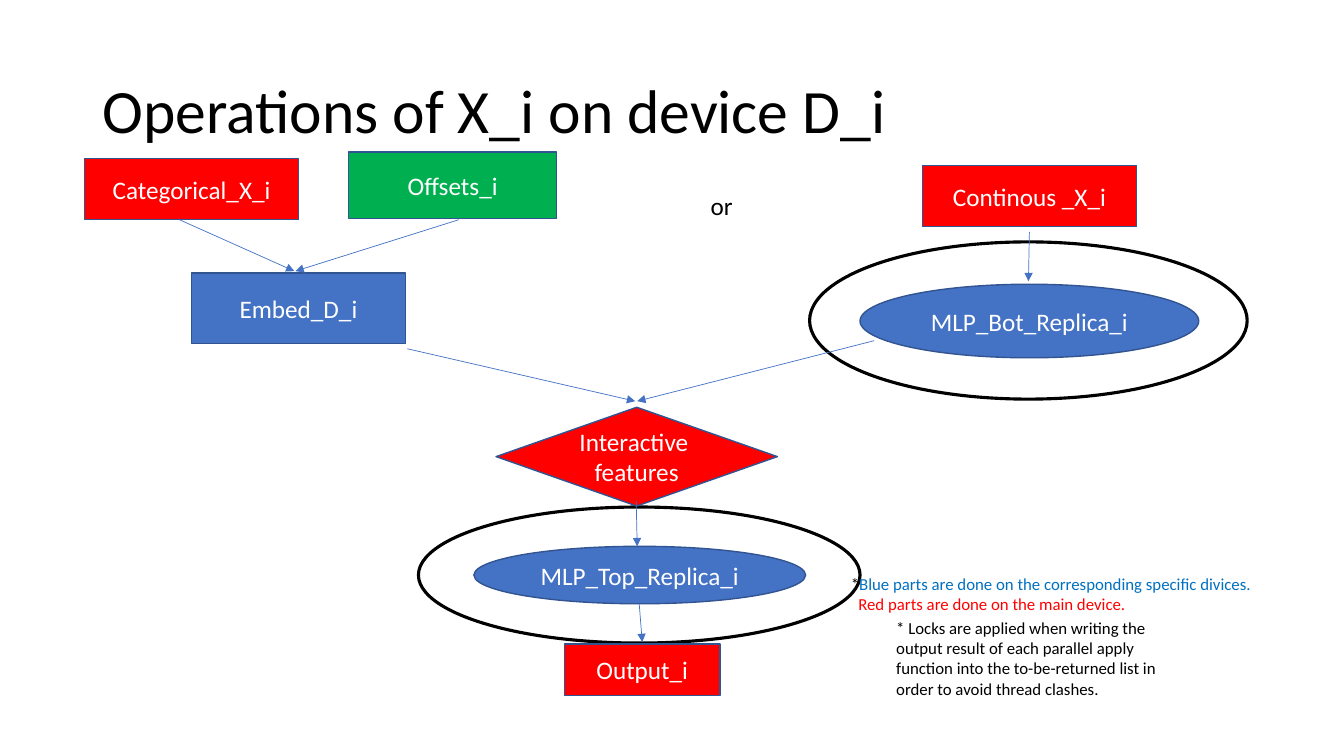
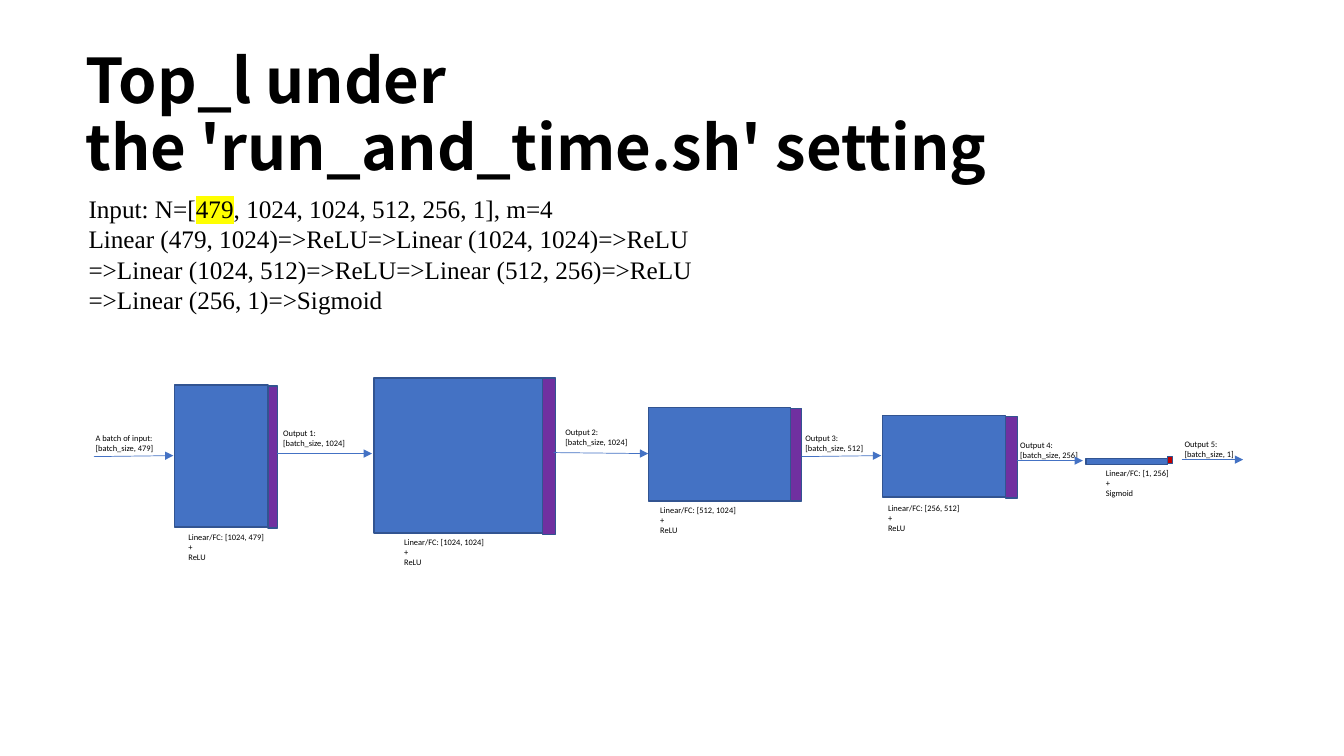
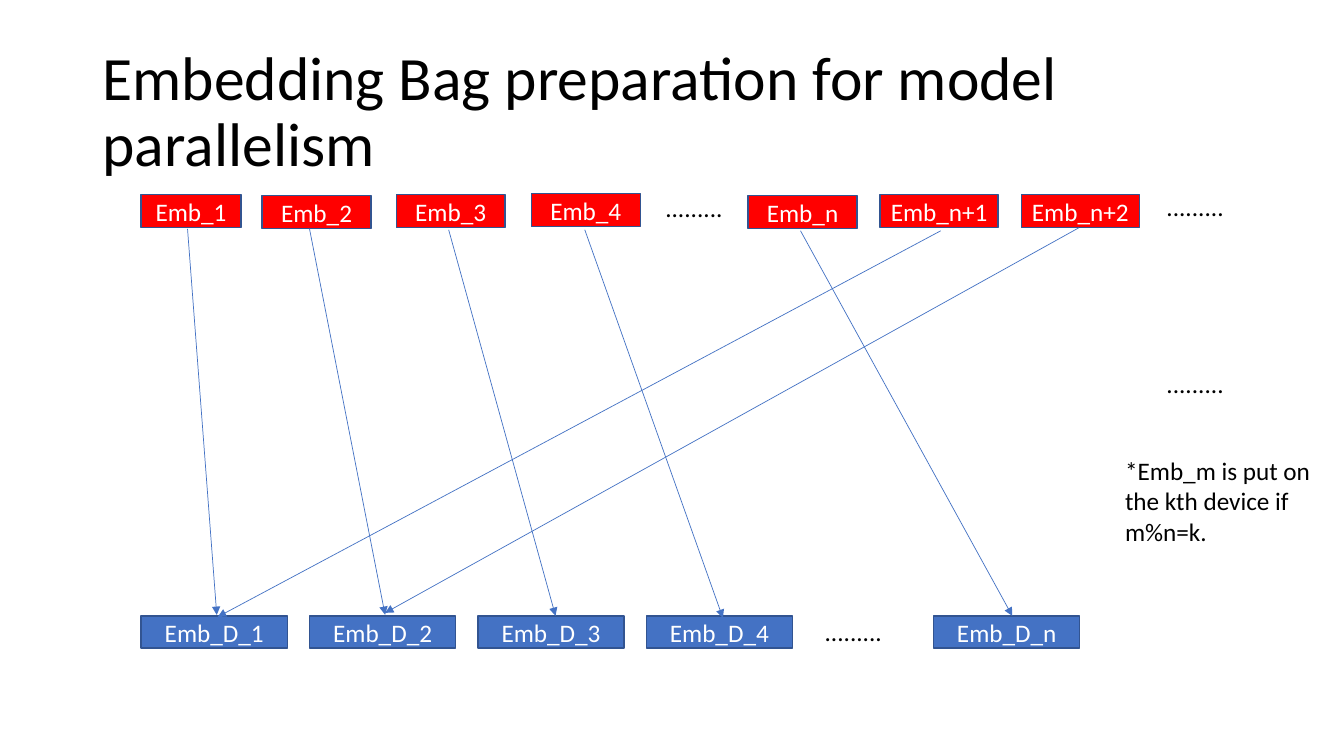
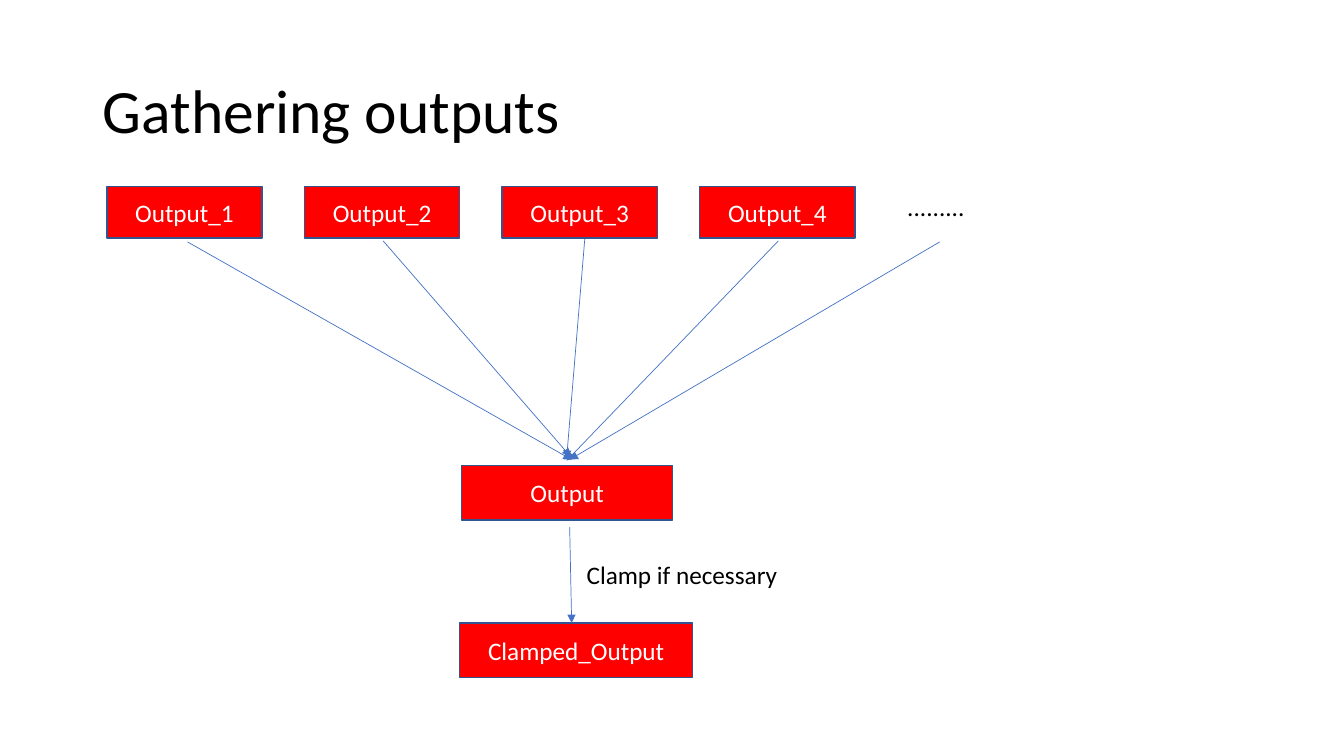
"""Build four slides on running a recommendation model across several devices."""
from lxml import etree
from pptx import Presentation
from pptx import util as u
from pptx.dml import color
from pptx.enum import shapes, text
from pptx.oxml import ns

BLUE, RED, GREEN, PURPLE, CRIMSON = "4472C4", "FF0000", "00B050", "7030A0", "C00000"
EDGE, BLACK, WHITE, NOTE_BLUE, YELLOW = "325491", "000000", "FFFFFF", "0070C0", "FFFF00"
RECT, OVAL, DIAMOND = (shapes.MSO_SHAPE.RECTANGLE, shapes.MSO_SHAPE.OVAL,
                       shapes.MSO_SHAPE.DIAMOND)
MIDDLE, TOP = text.MSO_ANCHOR.MIDDLE, text.MSO_ANCHOR.TOP
DOTS = "........."
TITLE_AREA = (0.92, 0.4, 11.5, 1.45)

OPERATIONS = {
    "title": "Operations of X_i on device D_i",
    "rings": [(8.03, 2.4, 4.34, 1.56), (4.15, 5.03, 4.38, 1.35)],
    "boxes": [
        ("Categorical_X_i", RECT, RED, (0.84, 1.57, 2.12, 0.61)),
        ("Offsets_i", RECT, GREEN, (3.46, 1.51, 2.06, 0.66)),
        ("Continous _X_i", RECT, RED, (9.15, 1.64, 2.12, 0.61)),
        ("Embed_D_i", RECT, BLUE, (1.9, 2.71, 2.12, 0.7)),
        ("MLP_Bot_Replica_i", OVAL, BLUE, (8.53, 2.82, 3.36, 0.73)),
        ("Interactive\u00a0features", DIAMOND, RED, (4.92, 4.04, 2.79, 0.98)),
        ("MLP_Top_Replica_i", OVAL, BLUE, (4.7, 5.42, 3.29, 0.57)),
        ("Output_i", RECT, RED, (5.6, 6.39, 1.54, 0.51)),
    ],
    "arrows": [
        (1.78, 2.18, 2.92, 2.69), (4.55, 2.18, 2.93, 2.69), (10.21, 2.3, 10.2, 2.79),
        (4.04, 3.46, 6.3, 3.98), (8.67, 3.38, 6.32, 3.98),
        (6.31, 4.97, 6.32, 5.42), (6.34, 5.99, 6.37, 6.37),
    ],
    "labels": [
        (["or"], 18, (6.95, 1.84, 3, 0.4)),
        (["* Locks are applied when writing the output result of each parallel apply "
          "function into the to-be-returned list in order to avoid thread clashes."],
         12, (8.79, 6.08, 3, 0.91)),
        ([[("*", BLACK), ("Blue parts are done on the corresponding\u00a0specific divices.",
                          NOTE_BLUE)],
          [("\u00a0 Red parts are done on the main device.", RED)]],
         12, (8.34, 5.64, 4.9, 0.5)),
    ],
}

TOP_TITLE = ["Top_l\u00a0under", "the\u00a0'run_and_time.sh'\u00a0setting"]
TOP_SUMMARY = [
    [("Input: N=[", BLACK), ("479", BLACK, YELLOW), (", 1024, 1024, 512, 256, 1], m=4", BLACK)],
    "Linear (479, 1024)=>ReLU=>Linear (1024, 1024)=>ReLU",
    "=>Linear (1024, 512)=>ReLU=>Linear (512, 256)=>ReLU",
    "=>Linear (256, 1)=>Sigmoid",
]
# name, activation, layer area, (activation top, width, height), caption corner
LAYERS = [
    ("[1024, 479]", "ReLU", (1.73, 3.82, 0.93, 1.41), (3.83, 0.09, 1.41), (1.77, 5.23)),
    ("[1024, 1024]", "ReLU", (3.71, 3.75, 1.67, 1.54), (3.75, 0.13, 1.55), (3.91, 5.28)),
    ("[512, 1024]", "ReLU", (6.43, 4.04, 1.41, 0.93), (4.05, 0.11, 0.92), (6.45, 4.96)),
    ("[256, 512]", "ReLU", (8.75, 4.12, 1.22, 0.81), (4.13, 0.12, 0.81), (8.71, 4.94)),
    ("[1,\u00a0256]", "Sigmoid", (10.77, 4.55, 0.81, 0.06), (4.53, 0.05, 0.07), (10.87, 4.59)),
]
FLOWS = [
    ("A batch of input:", 479, (0.85, 4.25), (0.93, 4.53, 1.72, 4.52)),
    ("Output 1:", 1024, (2.71, 4.2), (2.75, 4.5, 3.69, 4.5)),
    ("Output 2:", 1024, (5.51, 4.19), (5.49, 4.49, 6.43, 4.5)),
    ("Output 3:", 512, (7.89, 4.25), (7.95, 4.53, 8.74, 4.52)),
    ("Output 4:", 256, (10.02, 4.32), (10.09, 4.57, 10.74, 4.57)),
    ("Output 5:", 1, (11.65, 4.31), (11.72, 4.56, 12.33, 4.56)),
]

TABLES = [("1", 1.4, 1.93, 0.99), ("2", 2.6, 1.94, 1.08), ("3", 3.93, 1.93, 1.08),
          ("4", 5.27, 1.92, 1.08), ("n", 7.42, 1.94, 1.08), ("n+1", 8.73, 1.93, 1.17),
          ("n+2", 10.13, 1.93, 1.17)]
DEVICES = [(str(i + 1), 1.4 + 1.67 * i) for i in range(4)] + [("n", 9.26)]
EMBEDDING = {
    "title": "Embedding Bag preparation for model parallelism",
    "boxes": [(f"Emb_{name}", RECT, RED, (left, top, width, 0.33))
              for name, left, top, width in TABLES]
             + [(f"Emb_D_{name}", RECT, BLUE, (left, 6.11, 1.45, 0.32))
                for name, left in DEVICES],
    "arrows": [
        (1.86, 2.27, 2.15, 6.1), (3.07, 2.27, 3.82, 6.1), (4.45, 2.28, 5.51, 6.11),
        (5.8, 2.28, 7.17, 6.13), (7.94, 2.29, 10.04, 6.11),
        (9.33, 2.29, 2.16, 6.12), (10.7, 2.26, 3.82, 6.08),
    ],
    "labels": [([DOTS], 18, (left, top, 1.01, 0.4)) for left, top in
               [(8.08, 6.07), (6.5, 1.86), (11.47, 1.85), (11.47, 3.6)]]
              + [(["*Emb_m is put on the kth device if m%n=k."], 18, (11.06, 4.47, 2.22, 1.01))],
}

GATHERING = {
    "title": "Gathering outputs",
    "boxes": [(f"Output_{i + 1}", RECT, RED, (1.06 + 1.96 * i, 1.85, 1.54, 0.51))
              for i in range(4)]
             + [("Output", RECT, RED, (4.58, 4.62, 2.09, 0.54)),
                ("Clamped_Output", RECT, RED, (4.56, 6.18, 2.31, 0.54))],
    "arrows": [
        (1.86, 2.4, 5.67, 4.56), (3.8, 2.39, 5.66, 4.53), (5.8, 2.37, 5.62, 4.55),
        (7.72, 2.39, 5.62, 4.57), (9.32, 2.4, 5.65, 4.56), (5.65, 5.23, 5.67, 6.18),
    ],
    "labels": [([DOTS], 18, (8.9, 1.85, 3, 0.4)),
               (["Clamp if necessary"], 18, (5.72, 5.5, 3, 0.4))],
}


def rgb(code):
    return color.RGBColor.from_string(code)


def inches(values):
    return [u.Inches(value) for value in values]


def write(box, paragraphs, size, ink=BLACK, font="Calibri", bold=False, anchor=TOP,
          align=text.PP_ALIGN.LEFT, spacing=1.0):
    frame = box.text_frame
    frame.word_wrap = True
    frame.vertical_anchor = anchor
    for index, runs in enumerate(paragraphs):
        para = frame.paragraphs[0] if index == 0 else frame.add_paragraph()
        para.alignment, para.line_spacing = align, spacing
        for words, run_ink, *marker in [(runs, ink)] if isinstance(runs, str) else runs:
            span = para.add_run()
            span.text = words
            for key, value in {"size": u.Pt(size), "name": font, "bold": bold}.items():
                setattr(span.font, key, value)
            span.font.color.rgb = rgb(run_ink)
            for code in marker:
                highlight = etree.Element(ns.qn("a:highlight"))
                etree.SubElement(highlight, ns.qn("a:srgbClr"), val=code)
                span.font._element.find(ns.qn("a:solidFill")).addnext(highlight)


def add_label(page, paragraphs, size, area, **style):
    write(page.shapes.add_textbox(*inches(area)), paragraphs, size, **style)


def add_title(page, paragraphs, area=TITLE_AREA, **style):
    add_label(page, paragraphs, 44, area, anchor=MIDDLE, spacing=0.9, **style)


def add_box(page, kind, area, fill=None, edge=EDGE, weight=1, words=None):
    box = page.shapes.add_shape(kind, *inches(area))
    box.shadow.inherit = False
    if fill:
        box.fill.solid()
        box.fill.fore_color.rgb = rgb(fill)
    else:
        box.fill.background()
    box.line.color.rgb = rgb(edge)
    box.line.width = u.Pt(weight)
    if words:
        write(box, [words], 18, WHITE, anchor=MIDDLE, align=text.PP_ALIGN.CENTER)


def add_arrow(page, ends):
    arrow = page.shapes.add_connector(shapes.MSO_CONNECTOR.STRAIGHT, *inches(ends))
    arrow.line.color.rgb = rgb(BLUE)
    arrow.line.width = u.Pt(0.5)
    etree.SubElement(arrow.line._get_or_add_ln(), ns.qn("a:tailEnd"), type="triangle")
    etree.SubElement(arrow._element.spPr, ns.qn("a:effectLst"))


def add_diagram(page, content):
    add_title(page, [content["title"]])
    for area in content.get("rings", []):
        add_box(page, OVAL, area, edge=BLACK, weight=2.25)
    for words, kind, fill, area in content["boxes"]:
        add_box(page, kind, area, fill, words=words)
    for ends in content["arrows"]:
        add_arrow(page, ends)
    for paragraphs, size, area in content["labels"]:
        add_label(page, paragraphs, size, area)


def add_network(page):
    add_title(page, TOP_TITLE, (0.75, 0.43, 9.31, 1.46), font="Noto Sans CJK SC", bold=True)
    add_label(page, TOP_SUMMARY, 18, (0.78, 1.87, 9.8, 1.31), font="Times New Roman")
    for name, activation, area, (top, width, height), corner in LAYERS:
        add_box(page, RECT, area, BLUE)
        add_box(page, RECT, (area[0] + area[2], top, width, height),
                PURPLE if activation == "ReLU" else CRIMSON)
        add_label(page, [f"Linear/FC:\u00a0{name}", "+", activation], 6, (*corner, 1.5, 0.4))
    for name, count, corner, ends in FLOWS:
        add_label(page, [name, f"[batch_size, {count}]"], 6, (*corner, 1, 0.3))
        add_arrow(page, ends)


deck = Presentation()
deck.slide_width, deck.slide_height = inches((13.33, 7.5))
for content in (OPERATIONS, None, EMBEDDING, GATHERING):
    page = deck.slides.add_slide(deck.slide_layouts[6])
    if content:
        add_diagram(page, content)
    else:
        add_network(page)
deck.save("out.pptx")
